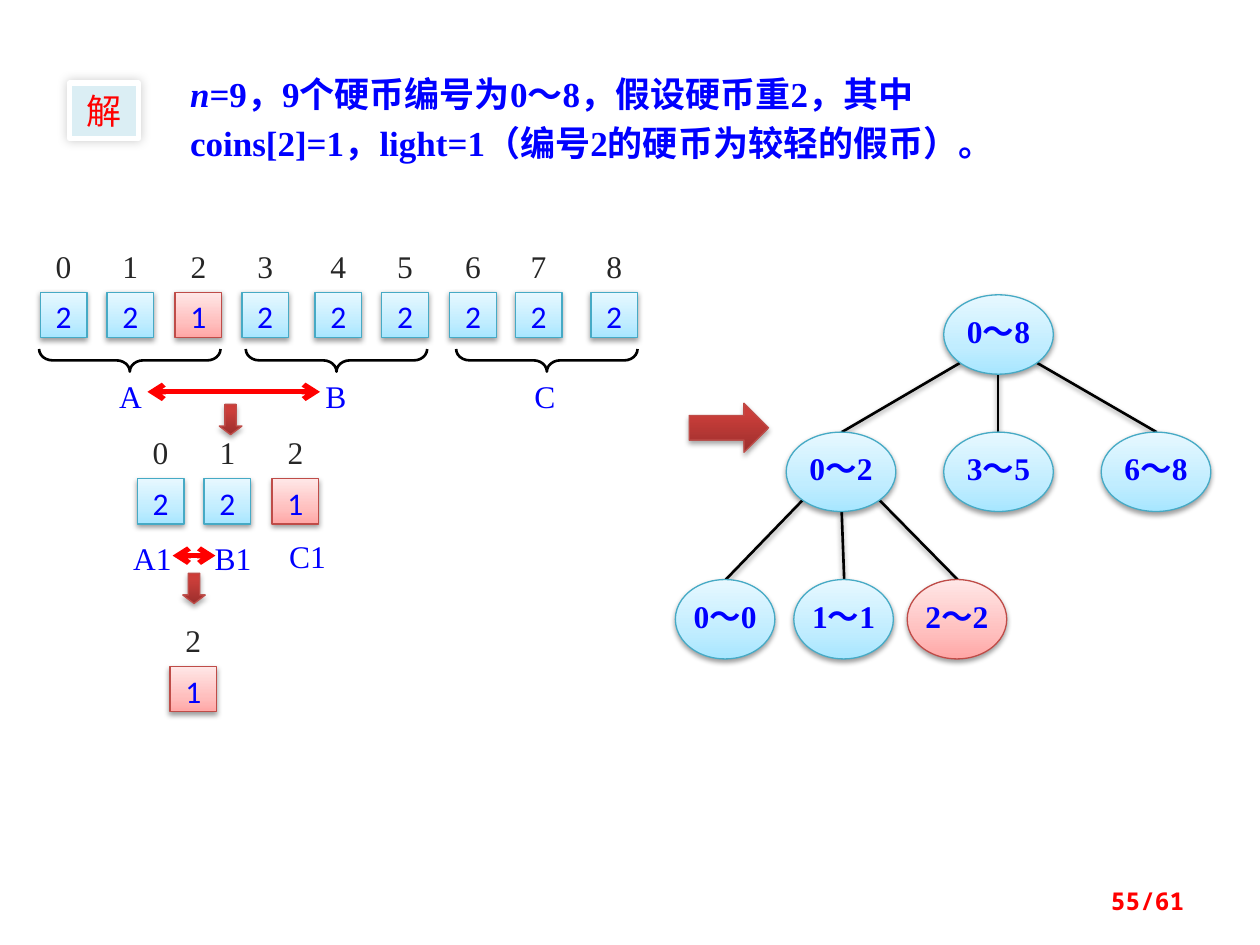
from copy import deepcopy
from dataclasses import dataclass

from pptx import Presentation
from pptx import util as u
from pptx.dml.color import RGBColor
from pptx.enum import shapes, text
from pptx.oxml import ns, xmlchemy as xml

PX = 9144  # EMU per px, 100 px to the inch
KIND = shapes.MSO_SHAPE
ALIGN = text.PP_ALIGN
ANCHOR = text.MSO_ANCHOR


@dataclass(frozen=True)
class Theme:
    serif: str = "Times New Roman"
    sans: str = "Calibri"
    cjk: str = "Noto Sans CJK SC"
    mono: str = "Noto Sans Mono"
    blue: str = "0000FF"
    red: str = "FF0000"
    dark: str = "262626"
    black: str = "000000"
    white: str = "FFFFFF"
    pale: str = "DBEEF4"
    body: int = 18
    lead: int = 20
    page: int = 14
    # Gradient stops, then edge colour
    cool: tuple = (((0, "A7E6FF"), (35, "C1EDFF"), (100, "E7F8FF")), "46AAC5")
    warm: tuple = (((0, "FFA6A5"), (35, "FFC0BF"), (100, "FFE7E7")), "BF4C48")
    deep: tuple = (((0, "9C2F2D"), (80, "CB3E3A"), (100, "CE3B37")), "BF4C48")
    # Shadows: alpha %, blur pt, distance pt, direction
    soft: tuple = (38, 3.1, 1.6, 90)
    firm: tuple = (35, 3.1, 1.8, 90)
    glow: tuple = (20, 6, 0, 225)


T = Theme()


def rgb(code):
    return RGBColor.from_string(code)


def add(root, tag, **attrs):
    node = xml.OxmlElement(tag)
    for key, val in attrs.items():
        node.set(key, str(val))
    root.append(node)
    return node


def shade(item, spec=None):
    """Clear the inherited shadow, then add the given one."""
    props = item._element.spPr
    box = props.find(ns.qn("a:effectLst"))
    if box is None:
        box = add(props, "a:effectLst")
    if spec:
        alpha, blur, dist, turn = spec
        cast = add(box, "a:outerShdw", blurRad=round(blur * 12700),
                   dist=round(dist * 12700), dir=turn * 60000, rotWithShape=0)
        tint = add(cast, "a:srgbClr", val=T.black)
        add(tint, "a:alpha", val=alpha * 1000)


def blend(shape, stops):
    shape.fill.gradient()
    shape.fill.gradient_angle = 90
    group = shape._element.spPr.find(".//" + ns.qn("a:gsLst"))
    group.append(deepcopy(group[0]))
    for stop, (pos, code) in zip(shape.fill.gradient_stops, stops):
        stop.position = pos / 100
        stop.color.rgb = rgb(code)


def write(item, words, size=T.body, face=T.serif, color=T.blue, bold=False,
          align=ALIGN.CENTER, anchor=ANCHOR.TOP, inset=(0, 0, 0, 0), space=None):
    """Fill one paragraph; words is a string or a list of (string, italic)."""
    frame = item.text_frame
    frame.word_wrap = True
    frame.vertical_anchor = anchor
    (frame.margin_left, frame.margin_top,
     frame.margin_right, frame.margin_bottom) = [n * PX for n in inset]
    para = frame.paragraphs[0]
    para.alignment = align
    if space:
        para.line_spacing = space
    for part, slant in [(words, False)] if isinstance(words, str) else words:
        run = para.add_run()
        run.text = part
        font = run.font
        font.size, font.name, font.bold = u.Pt(size), face, bold
        font.italic = slant
        font.color.rgb = rgb(color)
        add(run._r.get_or_add_rPr(), "a:ea", typeface=T.cjk)


def form(slide, kind, box, fill=None, edge=None, width=0.75, cast=None):
    """Add a preset shape; fill is a colour, a gradient pair or None."""
    shape = slide.shapes.add_shape(kind, *[n * PX for n in box])
    if isinstance(fill, tuple):
        stops, edge = fill
        blend(shape, stops)
    elif fill:
        shape.fill.solid()
        shape.fill.fore_color.rgb = rgb(fill)
    else:
        shape.fill.background()
    if edge:
        shape.line.color.rgb = rgb(edge)
        shape.line.width = u.Pt(width)
    else:
        shape.line.fill.background()
    shape.shadow.inherit = False
    shade(shape, cast)
    return shape


def label(slide, box, words, color=T.blue):
    write(form(slide, KIND.RECTANGLE, box, T.white), words, color=color)


def coin(slide, x, y, mark, weight):
    """A coin square with its number above."""
    fill = T.warm if weight == 1 else T.cool
    cell = form(slide, KIND.RECTANGLE, (x, y, 37, 36), fill, cast=T.soft)
    write(cell, str(weight), face=T.sans, inset=(0, 4, 0, 0))
    label(slide, (x, y - 36, 37, 24), str(mark), T.dark)


def line(slide, start, end, color=T.black, width=1.5, cast=None, heads=False):
    link = slide.shapes.add_connector(
        shapes.MSO_CONNECTOR.STRAIGHT, *[n * PX for n in (*start, *end)])
    link.line.color.rgb = rgb(color)
    link.line.width = u.Pt(width)
    if heads:
        for tag in ("a:headEnd", "a:tailEnd"):
            add(link.line._get_or_add_ln(), tag, type="arrow")
    shade(link, cast)


def node(slide, box, words, fill=T.cool):
    oval = form(slide, KIND.OVAL, box, fill, cast=T.soft)
    write(oval, words, bold=True, anchor=ANCHOR.MIDDLE,
          inset=(0, 5, 0, 5), space=0.8)


def branch(slide, top, kids):
    """Join a node to three children from its lower left, bottom and lower right."""
    x, y, w, h = top
    for side, kid in zip((-1, 0, 1), kids):
        drop = 0.35 if side else 0.5
        start = (round(x + w / 2 + side * w * 0.35), round(y + h / 2 + h * drop))
        line(slide, start, (round(kid[0] + kid[2] / 2), kid[1]), cast=T.soft)


def arrow(slide, kind, box):
    return form(slide, kind, box, T.deep, cast=T.firm)


def split(slide):
    # Nine coins in three groups
    for mark, x in enumerate((32, 85, 139, 192, 250, 303, 357, 409, 469)):
        coin(slide, x, 232, mark, 1 if mark == 2 else 2)
    for name, x, left in (("A", 94, 89), ("B", 258, 252), ("C", 425, 418)):
        brace = form(slide, KIND.RIGHT_BRACE, (x, 214, 18, 144),
                     edge=T.black, width=1.5)
        brace.rotation = 90
        brace.adjustments[0] = 0.587
        label(slide, (left, 299, 29, 25), name)

    # Three coins, then the light one
    for mark, x in enumerate((109, 162, 216)):
        coin(slide, x, 380, mark, 1 if mark == 2 else 2)
    for name, box in (("A1", (101, 428, 40, 26)), ("B1", (168, 428, 34, 34)),
                      ("C1", (223, 426, 42, 28))):
        label(slide, box, name)
    coin(slide, 135, 529, 2, 1)

    # Comparisons and steps
    for left, right, y in ((117, 254, 311), (137, 171, 441)):
        line(slide, (left, y), (right, y), T.red, 3, heads=True)
    for x, y in ((174, 321), (145, 455)):
        arrow(slide, KIND.DOWN_ARROW, (x, y, 18, 24)).adjustments[1] = 0.378


def tree(slide):
    root = (749, 234, 87, 63)
    mids = [(624 + 125 * i, 343, 87, 63) for i in range(3)]
    ends = [(x, 460, 79, 63) for x in (536, 630, 720)]
    branch(slide, root, mids)
    branch(slide, mids[0], ends)
    names = ("0～8", "0～2", "3～5", "6～8", "0～0", "1～1", "2～2")
    for box, name in zip([root, *mids, *ends], names):
        node(slide, box, name, T.warm if name == "2～2" else T.cool)
    arrow(slide, KIND.RIGHT_ARROW, (547, 320, 63, 39))


def main():
    deck = Presentation()
    deck.slide_width, deck.slide_height = 1000 * PX, 750 * PX
    slide = deck.slides.add_slide(deck.slide_layouts[6])
    split(slide)
    tree(slide)

    # Problem statement
    badge = form(slide, KIND.RECTANGLE, (55, 66, 55, 44), T.pale, T.white, 3, T.glow)
    write(badge, "解", T.lead, T.cjk, T.red, anchor=ANCHOR.MIDDLE)
    lead = slide.shapes.add_textbox(*[n * PX for n in (141, 47, 672, 89)])
    write(lead, [("n", True), ("=9，9个硬币编号为0～8，假设硬币重2，其中coins[2]=1，"
                               "light=1（编号2的硬币为较轻的假币）。", False)],
          T.lead, bold=True, align=ALIGN.LEFT, inset=(10, 5, 10, 5), space=u.Pt(28))

    # Page number
    page = slide.shapes.add_textbox(*[n * PX for n in (717, 695, 233, 40)])
    write(page, "55/61", T.page, T.mono, T.red, bold=True, align=ALIGN.RIGHT,
          anchor=ANCHOR.MIDDLE, inset=(10, 5, 10, 5))
    deck.save("out.pptx")


if __name__ == "__main__":
    main()
